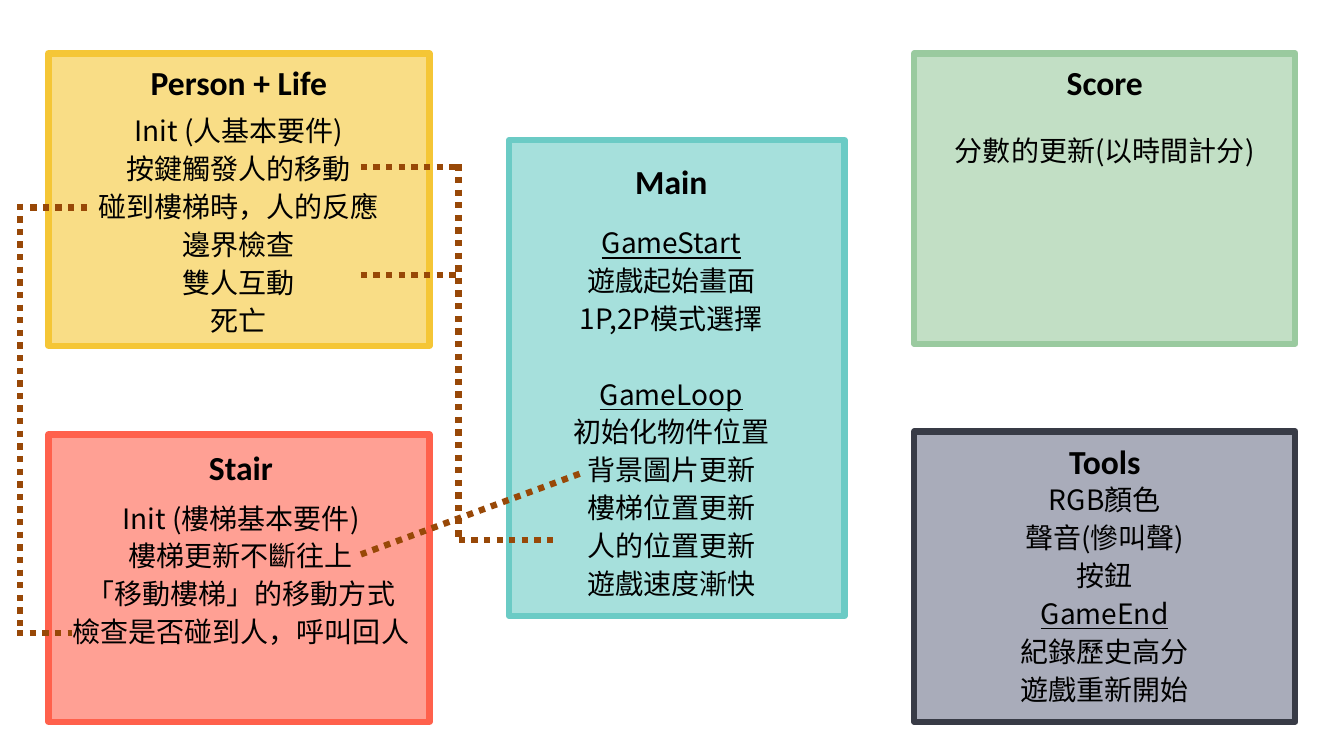
"""Build a slide that maps the modules of a game and the calls between them."""
from dataclasses import dataclass

from lxml import etree
from pptx import Presentation
from pptx.dml.color import RGBColor
from pptx.enum.dml import MSO_LINE
from pptx.enum.shapes import MSO_CONNECTOR, MSO_SHAPE
from pptx.enum.text import MSO_AUTO_SIZE, PP_ALIGN
from pptx.oxml.ns import qn
from pptx.util import Emu, Inches, Pt

RECTANGLE = MSO_SHAPE.RECTANGLE
STRAIGHT = MSO_CONNECTOR.STRAIGHT
DOTTED = MSO_LINE.ROUND_DOT
CENTER = PP_ALIGN.CENTER
GROW = MSO_AUTO_SIZE.SHAPE_TO_FIT_TEXT

GRID = Inches(0.1)
COLUMNS, ROWS = 133.33, 75
TITLE_WIDTH, TITLE_HEIGHT = 28.4, 5
LINE_PITCH = 27
STROKE = 4.5
TITLE_FONT, BODY_FONT = "Calibri", "Noto Sans CJK SC"

COLOURS = {
    "text": "000000", "link": "984807",
    "main": "A6E0DC", "main edge": "6BCBC5",
    "person": "F9DD86", "person edge": "F5C636",
    "stair": "FFA094", "stair edge": "FF614C",
    "score": "C2DFC5", "score edge": "9ACA9F",
    "tools": "A9ACBA", "tools edge": "383B46",
}


@dataclass(frozen=True)
class Line:
    """One paragraph of a module's body."""
    text: str
    underline: bool = False
    space_before: float = 0


@dataclass(frozen=True)
class Box:
    """A rectangle in grid columns and rows."""
    left: float
    top: float
    width: float
    height: float


@dataclass(frozen=True)
class Module:
    """A coloured panel with a title and body lines around a shared centre."""
    colour: str
    title: str
    panel: Box
    text_center: float
    title_top: float
    body_top: float
    body_width: float
    body_height: float
    lines: tuple[Line, ...]


@dataclass(frozen=True)
class Link:
    """A dotted segment between two grid points."""
    start: tuple[float, float]
    end: tuple[float, float]


LEFT_CENTER, MAIN_CENTER, RIGHT_CENTER = 23.7, 66.6, 109.6

MODULES = (
    Module("main", "Main", Box(50.5, 13.9, 33.3, 47.2), MAIN_CENTER, 15.5, 21.5, 33.3, 42.7, (
        Line("GameStart", underline=True),
        Line("遊戲起始畫面\n1P,2P模式選擇"),
        Line("GameLoop", underline=True, space_before=LINE_PITCH),
        Line("初始化物件位置"),
        Line("背景圖片更新"),
        Line("樓梯位置更新"),
        Line("人的位置更新"),
        Line("遊戲速度漸快"),
    )),
    Module("person", "Person + Life", Box(4.8, 5.3, 37.8, 29), LEFT_CENTER, 5.7, 10.4, 33.3, 23.7, (
        Line("Init (人基本要件)"),
        Line("按鍵觸發人的移動"),
        Line("碰到樓梯時，人的反應"),
        Line("邊界檢查"),
        Line("雙人互動"),
        Line("死亡"),
    )),
    Module("stair", "Stair", Box(4.8, 43.1, 37.8, 28.5), LEFT_CENTER + 0.2, 43.8, 48.8, 35.4, 16.2, (
        Line("Init (樓梯基本要件)"),
        Line("樓梯更新不斷往上"),
        Line("「移動樓梯」的移動方式"),
        Line("檢查是否碰到人，呼叫回人"),
    )),
    Module("score", "Score", Box(90.7, 5.3, 37.8, 28.8), RIGHT_CENTER, 5.7, 12.3, 33.3, 8.2, (
        Line("分數的更新(以時間計分)"),
    )),
    Module("tools", "Tools", Box(90.7, 42.8, 37.8, 28.8), RIGHT_CENTER, 43.3, 47, 33.3, 31.3, (
        Line("RGB顏色"),
        Line("聲音(慘叫聲)"),
        Line("按鈕"),
        Line("GameEnd", underline=True),
        Line("紀錄歷史高分"),
        Line("遊戲重新開始"),
    )),
)

LINKS = (
    Link((35.8, 16.6), (45.8, 16.6)),
    Link((35.8, 27.3), (45.8, 27.3)),
    Link((45.5, 16.3), (45.5, 53.6)),
    Link((45.5, 53.6), (55.5, 53.6)),
    Link((2, 20.2), (2, 62.8)),
    Link((3, 20.6), (9.2, 20.6)),
    Link((1.7, 62.8), (7.1, 62.8)),
    Link((57.5, 47), (35.8, 55)),
)


def cells(*counts: float) -> list[Emu]:
    """Convert counts of grid cells to lengths."""
    return [Emu(round(count * GRID)) for count in counts]


def place(box: Box) -> list[Emu]:
    """Return a box's left, top, width and height as lengths."""
    return cells(box.left, box.top, box.width, box.height)


def colour_of(name: str) -> RGBColor:
    """Look up a named colour."""
    return RGBColor.from_string(COLOURS[name])


def add_text(shapes, box: Box, lines: tuple[Line, ...], *, font: str, size: float,
             bold: bool = False, pitch: float | None = None) -> None:
    """Add a centred text box."""
    frame = shapes.add_textbox(*place(box)).text_frame
    frame.word_wrap = True
    frame.auto_size = GROW
    for index, line in enumerate(lines):
        paragraph = frame.add_paragraph() if index else frame.paragraphs[0]
        paragraph.alignment = CENTER
        paragraph.space_before = Pt(line.space_before)
        if pitch:
            paragraph.line_spacing = Pt(pitch)
        for part_index, part in enumerate(line.text.split("\n")):
            if part_index:
                paragraph.add_line_break()
            run = paragraph.add_run()
            run.text = part
            run.font.name = font
            run.font.size = Pt(size)
            run.font.bold = bold
            run.font.underline = line.underline
            run.font.color.rgb = colour_of("text")
            latin = run.font._element.find(qn("a:latin"))
            east_asian = etree.Element(qn("a:ea"), typeface=font)
            latin.addnext(east_asian)


def add_module(slide, module: Module) -> None:
    """Draw a module as one group."""
    shapes = slide.shapes.add_group_shape().shapes
    panel = shapes.add_shape(RECTANGLE, *place(module.panel))
    panel.shadow.inherit = False
    panel.fill.solid()
    panel.fill.fore_color.rgb = colour_of(module.colour)
    panel.line.color.rgb = colour_of(f"{module.colour} edge")
    panel.line.width = Pt(STROKE)
    title_box = Box(module.text_center - TITLE_WIDTH / 2, module.title_top, TITLE_WIDTH, TITLE_HEIGHT)
    body_box = Box(module.text_center - module.body_width / 2, module.body_top,
                   module.body_width, module.body_height)
    add_text(shapes, title_box, (Line(module.title),), font=TITLE_FONT, size=24, bold=True)
    add_text(shapes, body_box, module.lines, font=BODY_FONT, size=20, pitch=LINE_PITCH)


def add_link(slide, link: Link) -> None:
    """Draw a dotted segment."""
    connector = slide.shapes.add_connector(STRAIGHT, *cells(*link.start, *link.end))
    connector.line.color.rgb = colour_of("link")
    connector.line.width = Pt(STROKE)
    connector.line.dash_style = DOTTED
    etree.SubElement(connector._element.spPr, qn("a:effectLst"))


def main() -> None:
    """Build and save the slide."""
    presentation = Presentation()
    presentation.slide_width, presentation.slide_height = cells(COLUMNS, ROWS)
    slide = presentation.slides.add_slide(presentation.slide_layouts[6])
    for module in MODULES:
        add_module(slide, module)
    for link in LINKS:
        add_link(slide, link)
    presentation.save("out.pptx")


if __name__ == "__main__":
    main()
